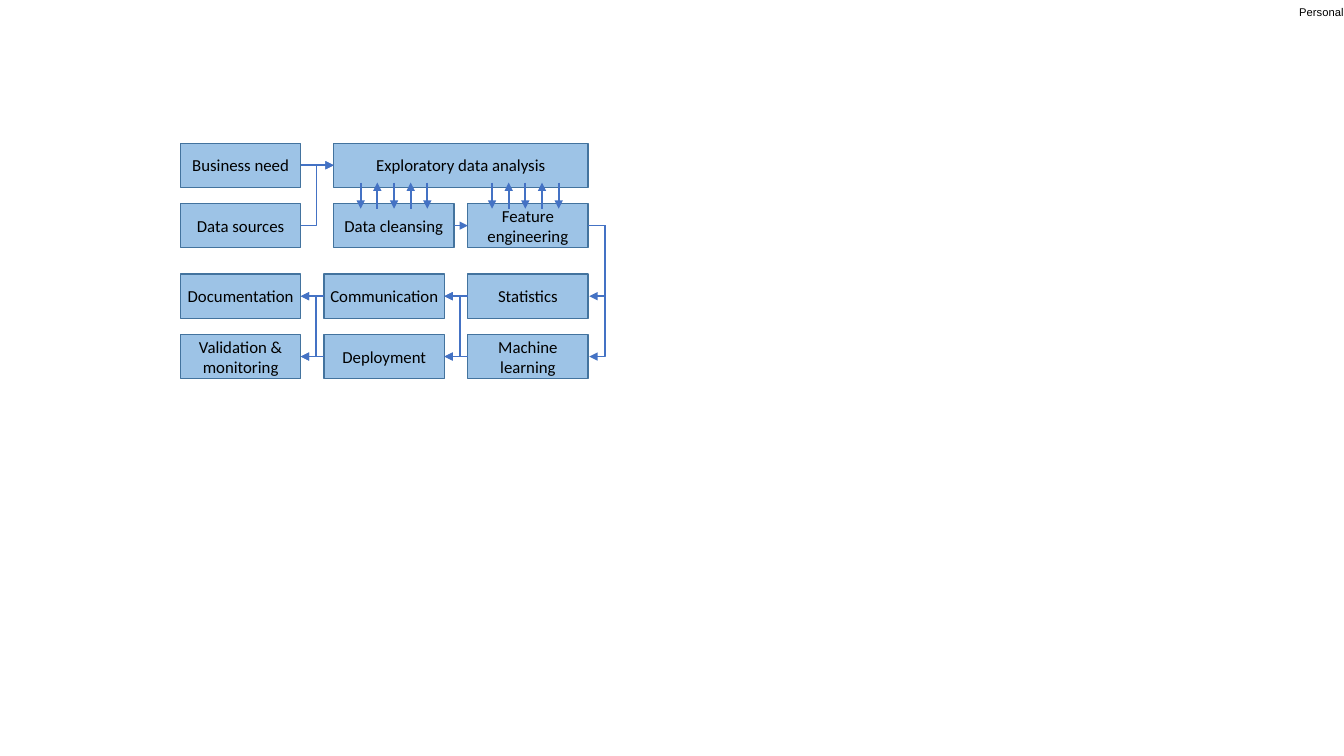
from lxml.etree import SubElement
from pptx import Presentation
from pptx.dml.color import RGBColor
from pptx.enum.shapes import MSO_CONNECTOR as Link, MSO_SHAPE as Shape
from pptx.enum.text import MSO_ANCHOR as Anchor, PP_ALIGN as Align
from pptx.oxml.ns import qn
from pptx.util import Cm, Pt

BOX_WIDTH, BOX_HEIGHT, ROW_STEP = 3.03, 1.11, 1.52
LEFT_SIDE, RIGHT_SIDE = 1, 3


def colour(value):
    """Turn a hex string into a colour."""
    return RGBColor.from_string(value)


def write(frame, text, size=12, font="Calibri", align=Align.CENTER, side_inset=0.25, end_inset=0.13):
    """Put one formatted paragraph into a text frame."""
    frame.word_wrap = True
    frame.vertical_anchor = Anchor.MIDDLE
    frame.margin_left = frame.margin_right = Cm(side_inset)
    frame.margin_top = frame.margin_bottom = Cm(end_inset)
    para = frame.paragraphs[0]
    para.alignment = align
    span = para.add_run()
    span.text = text
    span.font.size = Pt(size)
    span.font.name = font
    span.font.color.rgb = colour("000000")


def add_step(page, text, left, top, width=BOX_WIDTH, **text_format):
    """Draw one step of the process."""
    box = page.shapes.add_shape(Shape.RECTANGLE, Cm(left), Cm(top), Cm(width), Cm(BOX_HEIGHT))
    box.shadow.inherit = False
    box.fill.solid()
    box.fill.fore_color.rgb = colour("9DC3E6")
    box.line.color.rgb = colour("43739E")
    box.line.width = Pt(1)
    write(box.text_frame, text, **text_format)
    return box


def add_arrow(page, kind=Link.STRAIGHT, start=(0, 0), end=(0, 0)):
    """Draw a connector with an arrowhead at its end."""
    arrow = page.shapes.add_connector(kind, *map(Cm, start + end))
    arrow.line.color.rgb = colour("4472C4")
    arrow.line.width = Pt(1.25)
    SubElement(arrow.line._get_or_add_ln(), qn("a:tailEnd"), type="triangle")
    SubElement(arrow._element.spPr, qn("a:effectLst"))
    return arrow


def join(page, source, target, source_side=RIGHT_SIDE, target_side=LEFT_SIDE, trunk=None):
    """Link two steps, bending at the trunk position when one is given."""
    arrow = add_arrow(page, Link.STRAIGHT if trunk is None else Link.ELBOW)
    arrow.begin_connect(source, source_side)
    arrow.end_connect(target, target_side)
    if trunk is not None:
        if arrow.end_x == arrow.begin_x:
            arrow.end_x += Cm(0.03)
        bend = (Cm(trunk) - arrow.begin_x) / (arrow.end_x - arrow.begin_x)
        guides = arrow._element.spPr.find(qn("a:prstGeom")).get_or_add_avLst()
        SubElement(guides, qn("a:gd"), name="adj1", fmla=f"val {round(bend * 100000)}")


def add_exchange(page, left, top, step=0.42, count=5, length=0.66):
    """Draw a row of arrows that point down and up in turn."""
    for index in range(count):
        x = left + index * step
        ends = [(x, top), (x, top + length)]
        start, end = ends if index % 2 == 0 else ends[::-1]
        add_arrow(page, start=start, end=end)


def add_preparation(page, left, top):
    """Draw the data preparation steps and return the last one."""
    middle, right, lower = left + 3.86, left + 7.24, top + ROW_STEP
    need = add_step(page, "Business need", left, top)
    sources = add_step(page, "Data sources", left, lower)
    analysis = add_step(page, "Exploratory data analysis", middle, top, right + BOX_WIDTH - middle)
    cleansing = add_step(page, "Data cleansing", middle, lower)
    features = add_step(page, "Feature engineering", right, lower)
    join(page, sources, analysis, trunk=left + 3.43)
    join(page, need, analysis)
    join(page, cleansing, features)
    for exchange_left in (middle + 0.68, right + 0.61):
        add_exchange(page, exchange_left, top + BOX_HEIGHT - 0.12)
    return features


def add_delivery(page, left, top, column_step=3.62):
    """Draw the delivery steps from right to left and return the first pair."""
    columns = [
        [("Documentation", 0), ("Validation & monitoring", 0.25)],
        [("Communication", 0), ("Deployment", 0.25)],
        [("Statistics", 0.25), ("Machine learning", 0.25)],
    ]
    pairs = [
        [
            add_step(page, text, left + column * column_step, top + row * ROW_STEP, side_inset=inset)
            for row, (text, inset) in enumerate(steps)
        ]
        for column, steps in enumerate(columns)
    ]
    for column, trunk in ((2, left + 7.04), (1, left + 3.42)):
        for row, source in enumerate(pairs[column]):
            for target_row in (row, 1 - row):
                target = pairs[column - 1][target_row]
                bend = None if target_row == row else trunk
                join(page, source, target, LEFT_SIDE, RIGHT_SIDE, bend)
    return pairs[-1]


def add_label(page, left, top, width, height):
    """Write the sensitivity label in the corner."""
    box = page.shapes.add_textbox(Cm(left), Cm(top), Cm(width), Cm(height))
    write(box.text_frame, "Personal", size=8, font="Arial", align=Align.RIGHT, side_inset=0, end_inset=0)


def main():
    """Build and save the deck."""
    deck = Presentation()
    deck.slide_width, deck.slide_height = Cm(33.87), Cm(19.05)
    page = deck.slides.add_slide(deck.slide_layouts[6])
    add_label(page, 32.08, 0, 1.78, 0.61)
    features = add_preparation(page, 4.55, 3.61)
    for target in add_delivery(page, 4.55, 6.91):
        join(page, features, target, RIGHT_SIDE, RIGHT_SIDE, trunk=15.25)
    deck.save("out.pptx")


main()
